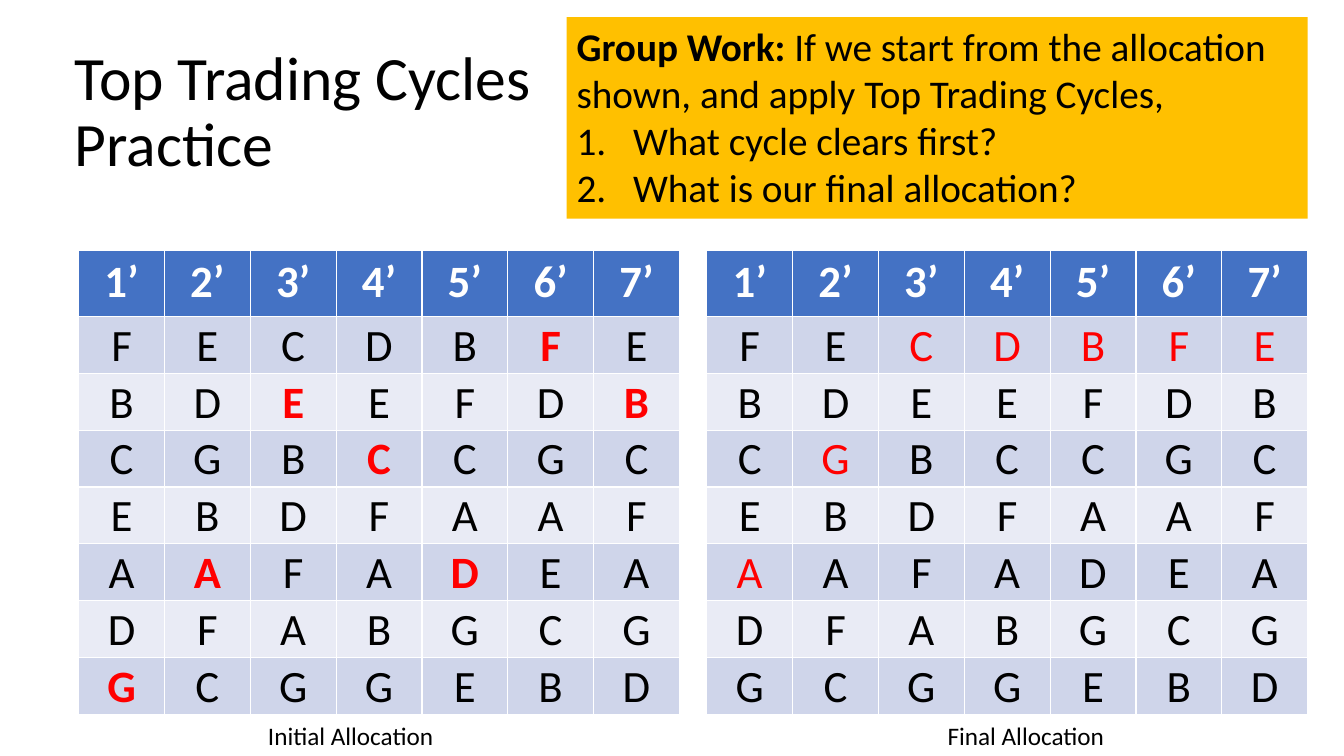
from dataclasses import dataclass

from lxml import etree
from pptx import Presentation, util as u
from pptx.dml import color
from pptx.enum import shapes, text
from pptx.oxml import ns

COLORS = {
    "black": "000000",
    "white": "FFFFFF",
    "header": "4472C4",
    "odd_row": "CFD5EA",
    "even_row": "E9EBF5",
    "held": "FF0000",
    "task": "FFC000",
}
FONT = "Calibri"
SLIDE_WIDTH = u.Inches(13.33)
SLIDE_HEIGHT = u.Inches(7.5)
PREFERENCES = ("FECDBFE", "BDEEFDB", "CGBCCGC", "EBDFAAF", "AAFADEA", "DFABGCG", "GCGGEBD")
AGENTS = len(PREFERENCES[0])
TABLE_TOP = 33.07
TABLE_WIDTH = 44.71
HEADER_HEIGHT = 8.8
ROW_HEIGHT = 7.52
CAPTION_TOP = 94.67
CAPTION_HEIGHT = 5.33


@dataclass(frozen=True)
class Allocation:
    caption: str
    left: float
    caption_left: float
    caption_width: float
    held_ranks: tuple[int, ...]
    held_bold: bool


ALLOCATIONS = (
    Allocation("Initial Allocation", 5.85, 19.2, 13.95, (7, 5, 2, 3, 5, 1, 2), True),
    Allocation("Final Allocation", 52.59, 69.77, 13.28, (5, 3, 1, 1, 1, 1, 1), False),
)
QUESTIONS = ("What cycle clears first?", "What is our final allocation?")


def across(percent: float) -> int:
    return round(SLIDE_WIDTH * percent / 100)


def down(percent: float) -> int:
    return round(SLIDE_HEIGHT * percent / 100)


def frame(left: float, top: float, width: float, height: float) -> tuple[int, int, int, int]:
    return across(left), down(top), across(width), down(height)


def paint(fill, name: str) -> None:
    fill.solid()
    fill.fore_color.rgb = color.RGBColor.from_string(COLORS[name])


def write(para, words: str, *, size: float, shade: str = "black", bold: bool = False,
          align=text.PP_ALIGN.LEFT) -> None:
    para.alignment = align
    for index, line in enumerate(words.split("\n")):
        if index:
            para.add_line_break()
        span = para.add_run()
        span.text = line
        span.font.name = FONT
        span.font.size = u.Pt(size)
        span.font.bold = bold
        span.font.color.rgb = color.RGBColor.from_string(COLORS[shade])


def number(para) -> None:
    properties = para._p.get_or_add_pPr()
    indent = u.Inches(0.56)
    properties.set("marL", str(indent))
    properties.set("indent", str(-indent))
    bullet = etree.SubElement(properties, ns.qn("a:buAutoNum"))
    bullet.set("type", "arabicPeriod")


def add_title(page) -> None:
    title = page.shapes.title
    title.left, title.top, title.width, title.height = frame(4.8, 5.33, 86.27, 19.33)
    title.text_frame.auto_size = text.MSO_AUTO_SIZE.NONE
    title.text_frame.vertical_anchor = text.MSO_ANCHOR.MIDDLE
    para = title.text_frame.paragraphs[0]
    para.line_spacing = 0.9
    write(para, "Top Trading Cycles\nPractice", size=44)


def add_allocation(page, allocation: Allocation) -> None:
    height = HEADER_HEIGHT + ROW_HEIGHT * len(PREFERENCES)
    table = page.shapes.add_table(
        len(PREFERENCES) + 1, AGENTS,
        *frame(allocation.left, TABLE_TOP, TABLE_WIDTH, height)).table
    for column in table.columns:
        column.width = across(TABLE_WIDTH / AGENTS)
    for rank, row in enumerate(table.rows):
        row.height = down(ROW_HEIGHT if rank else HEADER_HEIGHT)
        for agent, cell in enumerate(row.cells):
            para = cell.text_frame.paragraphs[0]
            if rank == 0:
                paint(cell.fill, "header")
                write(para, f"{agent + 1}’", size=32, shade="white", bold=True,
                      align=text.PP_ALIGN.CENTER)
                continue
            held = allocation.held_ranks[agent] == rank
            paint(cell.fill, "odd_row" if rank % 2 else "even_row")
            cell.vertical_anchor = text.MSO_ANCHOR.BOTTOM
            cell.margin_left = cell.margin_top = cell.margin_right = u.Inches(0.01)
            cell.margin_bottom = 0
            write(para, PREFERENCES[rank - 1][agent], size=32,
                  shade="held" if held else "black",
                  bold=held and allocation.held_bold, align=text.PP_ALIGN.CENTER)
    box = page.shapes.add_textbox(*frame(
        allocation.caption_left, CAPTION_TOP, allocation.caption_width, CAPTION_HEIGHT))
    box.text_frame.word_wrap = False
    box.text_frame.auto_size = text.MSO_AUTO_SIZE.SHAPE_TO_FIT_TEXT
    write(box.text_frame.paragraphs[0], allocation.caption, size=18)


def add_task(page) -> None:
    box = page.shapes.add_shape(
        shapes.MSO_SHAPE.RECTANGLE, *frame(42.16, 2.27, 55.14, 26.67))
    box.shadow.inherit = False
    box.line.fill.background()
    paint(box.fill, "task")
    box.text_frame.word_wrap = True
    box.text_frame.vertical_anchor = text.MSO_ANCHOR.TOP
    para = box.text_frame.paragraphs[0]
    write(para, "Group Work: ", size=28, bold=True)
    write(para, "If we start from the allocation shown, and apply Top Trading Cycles,", size=28)
    for question in QUESTIONS:
        para = box.text_frame.add_paragraph()
        number(para)
        write(para, question, size=28)


def main() -> None:
    deck = Presentation()
    deck.slide_width, deck.slide_height = SLIDE_WIDTH, SLIDE_HEIGHT
    page = deck.slides.add_slide(deck.slide_layouts.get_by_name("Title Only"))
    add_title(page)
    for allocation in ALLOCATIONS:
        add_allocation(page, allocation)
    add_task(page)
    deck.save("out.pptx")


if __name__ == "__main__":
    main()
